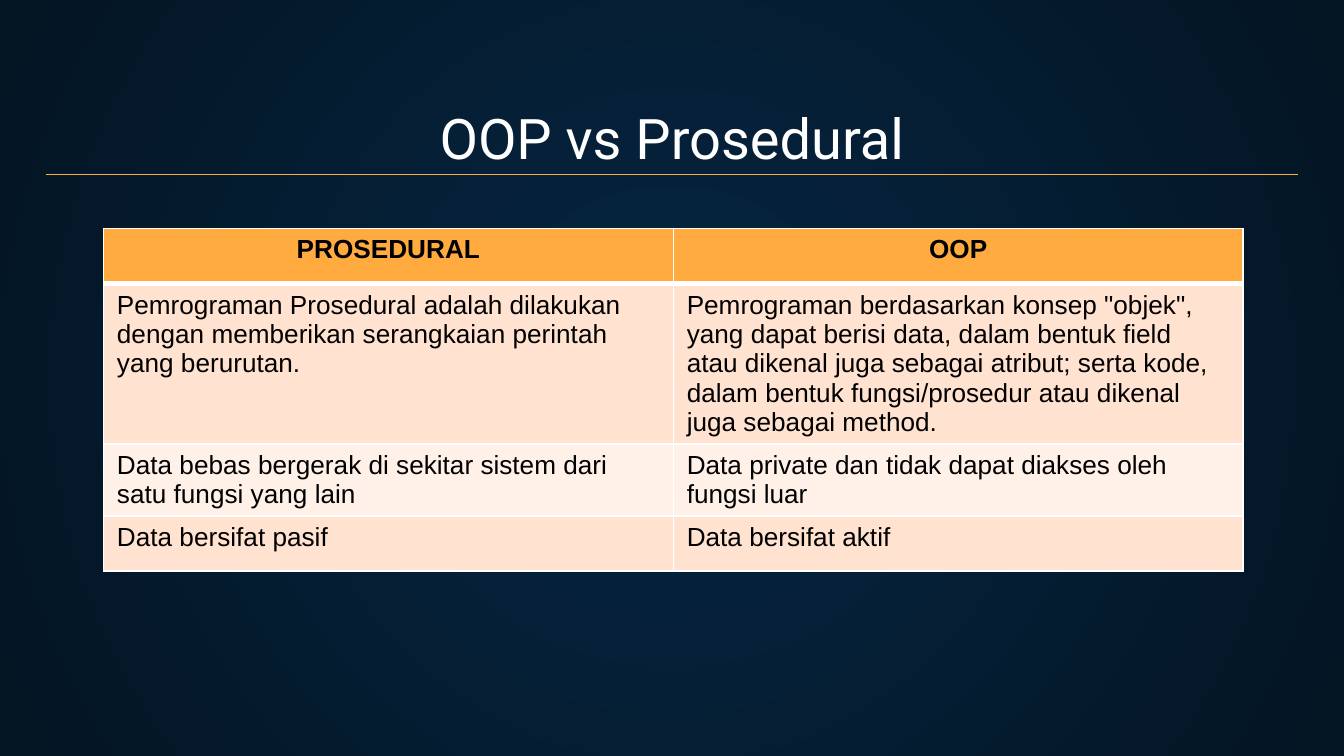
"""Build a slide with a table comparing procedural and object-oriented programming."""
from lxml import etree
from pptx import Presentation
from pptx.dml.color import RGBColor
from pptx.enum.shapes import MSO_CONNECTOR
from pptx.enum.text import MSO_ANCHOR, MSO_AUTO_SIZE, PP_ALIGN
from pptx.oxml import parse_xml
from pptx.oxml.ns import qn
from pptx.util import Inches, Pt

STRAIGHT = MSO_CONNECTOR.STRAIGHT
BOTTOM = MSO_ANCHOR.BOTTOM
CENTER, LEFT = PP_ALIGN.CENTER, PP_ALIGN.LEFT
NO_AUTOFIT = MSO_AUTO_SIZE.NONE
DRAWING = "http://schemas.openxmlformats.org/drawingml/2006/main"

TITLE = "OOP vs Prosedural"
ROWS = [
    ("PROSEDURAL", "OOP"),
    (
        "Pemrograman Prosedural adalah dilakukan dengan memberikan "
        "serangkaian perintah yang berurutan.",
        'Pemrograman berdasarkan konsep "objek", yang dapat berisi data, '
        "dalam bentuk field atau dikenal juga sebagai atribut; serta kode, "
        "dalam bentuk fungsi/prosedur atau dikenal juga sebagai method.",
    ),
    (
        "Data bebas bergerak di sekitar sistem dari satu fungsi yang lain",
        "Data private dan tidak dapat diakses oleh fungsi luar",
    ),
    ("Data bersifat pasif", "Data bersifat aktif"),
]
COLORS = {
    "center": "052643",
    "edge": "041523",
    "accent": "FFAB40",
    "odd": "FFE2CF",
    "even": "FFF1E8",
    "white": "FFFFFF",
    "black": "000000",
}
MARGIN, RULE_TOP = 0.34, 1.3
SLIDE_WIDTH = 10
SLIDE_HEIGHT = SLIDE_WIDTH * 9 / 16
COLUMN_WIDTH, ROW_HEIGHT = 4.24, 0.41


def color(name):
    return RGBColor.from_string(COLORS[name])


def style_text(para, font_name, size, color_name, alignment, bold=False):
    para.alignment = alignment
    for span in para.runs:
        span.font.name = font_name
        span.font.size = Pt(size)
        span.font.bold = bold
        span.font.color.rgb = color(color_name)


def paint_background(slide):
    fill = slide.background.fill
    fill.gradient()
    for stop, name in zip(fill.gradient_stops, ("center", "edge")):
        stop.color.rgb = color(name)
    gradient = slide.background._cSld.find(".//" + qn("a:gradFill"))
    gradient.replace(gradient.find(qn("a:lin")), parse_xml(
        f'<a:path xmlns:a="{DRAWING}" path="circle">'
        '<a:fillToRect l="50000" t="50000" r="50000" b="50000"/></a:path>'
    ))


def add_title(slide):
    title = slide.shapes.title
    title.left, title.top = Inches(MARGIN), Inches(0.71)
    title.width, title.height = Inches(SLIDE_WIDTH - 2 * MARGIN), Inches(0.66)
    frame = title.text_frame
    frame.text = TITLE
    frame.auto_size = NO_AUTOFIT
    frame.word_wrap = True
    frame.vertical_anchor = BOTTOM
    frame.margin_left = frame.margin_right = Inches(0.1)
    frame.margin_top = frame.margin_bottom = Inches(0.1)
    style_text(frame.paragraphs[0], "Roboto", 30, "white", CENTER)


def add_rule(slide):
    rule = slide.shapes.add_connector(
        STRAIGHT, Inches(MARGIN), Inches(RULE_TOP),
        Inches(SLIDE_WIDTH - MARGIN), Inches(RULE_TOP),
    )
    rule.line.color.rgb = color("accent")
    rule.line.width = Pt(0.75)
    etree.SubElement(rule._element.spPr, qn("a:effectLst"))


def set_borders(cell, row_index):
    widths = {
        "L": 1,
        "R": 1,
        "T": 3 if row_index == 1 else 1,
        "B": 3 if row_index == 0 else 1,
    }
    properties = cell._tc.get_or_add_tcPr()
    for position, (side, width) in enumerate(widths.items()):
        properties.insert(position, parse_xml(
            f'<a:ln{side} xmlns:a="{DRAWING}" w="{Pt(width)}"><a:solidFill>'
            f'<a:srgbClr val="{COLORS["white"]}"/></a:solidFill></a:ln{side}>'
        ))


def add_comparison(slide):
    columns = len(ROWS[0])
    table = slide.shapes.add_table(
        len(ROWS), columns, Inches(0.77), Inches(1.7),
        Inches(columns * COLUMN_WIDTH), Inches(len(ROWS) * ROW_HEIGHT),
    ).table
    for row_index, texts in enumerate(ROWS):
        header = row_index == 0
        fill_name = "accent" if header else "odd" if row_index % 2 else "even"
        for column_index, text in enumerate(texts):
            cell = table.cell(row_index, column_index)
            cell.text_frame.text = text
            cell.fill.solid()
            cell.fill.fore_color.rgb = color(fill_name)
            style_text(
                cell.text_frame.paragraphs[0], "Arial", 14, "black",
                CENTER if header else LEFT, header,
            )
            set_borders(cell, row_index)


def main():
    deck = Presentation()
    deck.slide_width, deck.slide_height = Inches(SLIDE_WIDTH), Inches(SLIDE_HEIGHT)
    slide = deck.slides.add_slide(deck.slide_layouts[5])
    paint_background(slide)
    add_title(slide)
    add_rule(slide)
    add_comparison(slide)
    deck.save("out.pptx")


if __name__ == "__main__":
    main()
